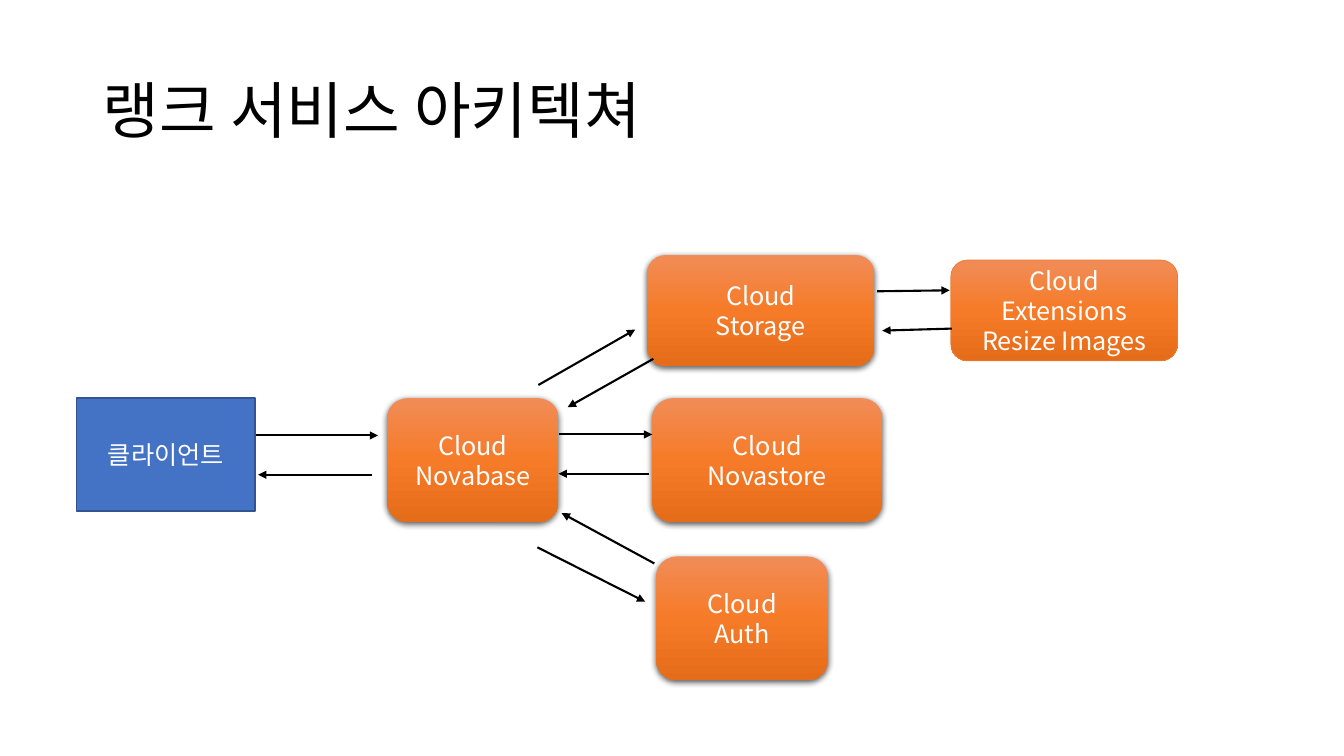
from dataclasses import dataclass
from typing import NamedTuple

from lxml.etree import SubElement
from pptx import Presentation
from pptx.dml.color import RGBColor
from pptx.enum.shapes import MSO_CONNECTOR as Conn, MSO_SHAPE as Geo
from pptx.enum.text import MSO_ANCHOR as Anchor, PP_ALIGN as Align
from pptx.oxml.ns import qn
from pptx.util import Inches, Pt


@dataclass(frozen=True)
class Theme:
    font: str = "Noto Sans CJK KR"
    title_size: int = 44
    body_size: int = 18
    ink: str = "000000"
    light: str = "FFFFFF"
    client: str = "4472C4"
    client_line: str = "325491"
    service_line: str = "ED7D31"
    gradient: tuple = ((0, "F18C57"), (50, "F67B28"), (100, "E56C19"))


class Box(NamedTuple):
    text: str
    x: float
    y: float
    w: float
    h: float
    line: str = ""
    line_width: float = 0
    is_client: bool = False


class Arrow(NamedTuple):
    x1: float
    y1: float
    x2: float
    y2: float


THEME = Theme()

BOXES = [
    Box("클라이언트", 0.76, 3.95, 1.77, 1.12, THEME.client_line, 1, True),
    Box("Cloud\nNovastore", 6.47, 3.95, 2.28, 1.23),
    Box("Cloud\nNovabase", 3.84, 3.95, 1.7, 1.23),
    Box("Cloud\nAuth", 6.51, 5.52, 1.7, 1.23),
    Box("Cloud\nStorage", 6.42, 2.53, 2.25, 1.1),
    Box("Cloud Extensions\nResize Images", 9.43, 2.58, 2.25, 1, THEME.service_line, 0.5),
]

ARROWS = [
    Arrow(2.54, 4.32, 3.75, 4.32),
    Arrow(3.69, 4.71, 2.56, 4.71),
    Arrow(5.54, 4.31, 6.47, 4.31),
    Arrow(6.44, 4.7, 5.54, 4.7),
    Arrow(5.33, 5.43, 6.4, 5.97),
    Arrow(6.49, 5.59, 5.57, 5.09),
    Arrow(5.34, 3.82, 6.3, 3.27),
    Arrow(6.48, 3.56, 5.63, 4.04),
    Arrow(8.7, 2.89, 9.42, 2.88),
    Arrow(9.44, 3.26, 8.75, 3.28),
]


def rgb(color: str) -> RGBColor:
    return RGBColor.from_string(color)


def format_text(tf, size: float, color: str, align: Align) -> None:
    tf.word_wrap = True
    tf.vertical_anchor = Anchor.MIDDLE
    for p in tf.paragraphs:
        p.alignment = align
        for r in p.runs:
            r.font.size = Pt(size)
            r.font.name = THEME.font
            r.font.color.rgb = rgb(color)
            SubElement(r.font._element, qn("a:ea"), typeface=THEME.font)


def fill_gradient(sp) -> None:
    sp.fill.gradient()
    sp.fill.gradient_angle = 270
    stops = sp._element.spPr.find(".//" + qn("a:gsLst"))
    for stop in list(stops):
        stops.remove(stop)
    for position, color in THEME.gradient:
        stop = SubElement(stops, qn("a:gs"), pos=str(position * 1000))
        SubElement(stop, qn("a:srgbClr"), val=color)


def add_shadow(sp) -> None:
    effects = sp._element.spPr.find(qn("a:effectLst"))
    shadow = SubElement(effects, qn("a:outerShdw"), blurRad=str(Pt(4.5)),
                        dist=str(Pt(1.5)), dir="5400000", algn="ctr", rotWithShape="0")
    color = SubElement(shadow, qn("a:srgbClr"), val=THEME.ink)
    SubElement(color, qn("a:alpha"), val="63000")


def add_box(s, box: Box) -> None:
    geo = Geo.RECTANGLE if box.is_client else Geo.ROUNDED_RECTANGLE
    sp = s.shapes.add_shape(geo, Inches(box.x), Inches(box.y), Inches(box.w), Inches(box.h))
    sp.shadow.inherit = False
    if box.is_client:
        sp.fill.solid()
        sp.fill.fore_color.rgb = rgb(THEME.client)
    else:
        fill_gradient(sp)
    if box.line:
        sp.line.color.rgb = rgb(box.line)
        sp.line.width = Pt(box.line_width)
    else:
        sp.line.fill.background()
        add_shadow(sp)
    sp.text_frame.text = box.text
    format_text(sp.text_frame, THEME.body_size, THEME.light, Align.CENTER)


def add_arrow(s, arrow: Arrow) -> None:
    line = s.shapes.add_connector(Conn.STRAIGHT, *(Inches(v) for v in arrow))
    line.line.color.rgb = rgb(THEME.ink)
    line.line.width = Pt(1.5)
    SubElement(line.line._get_or_add_ln(), qn("a:tailEnd"), type="triangle")
    SubElement(line._element.spPr, qn("a:effectLst"))


def add_title(s, text: str) -> None:
    sp = s.shapes.title
    sp.left, sp.top, sp.width, sp.height = (Inches(v) for v in (0.92, 0.4, 11.5, 1.45))
    sp.text_frame.text = text
    sp.text_frame.paragraphs[0].line_spacing = 0.9
    format_text(sp.text_frame, THEME.title_size, THEME.ink, Align.LEFT)


prs = Presentation()
prs.slide_width, prs.slide_height = Inches(13.33), Inches(7.5)
s = prs.slides.add_slide(prs.slide_layouts[5])
add_title(s, "랭크 서비스\u00a0아키텍쳐")
for box in BOXES:
    add_box(s, box)
for arrow in ARROWS:
    add_arrow(s, arrow)
prs.save("out.pptx")
